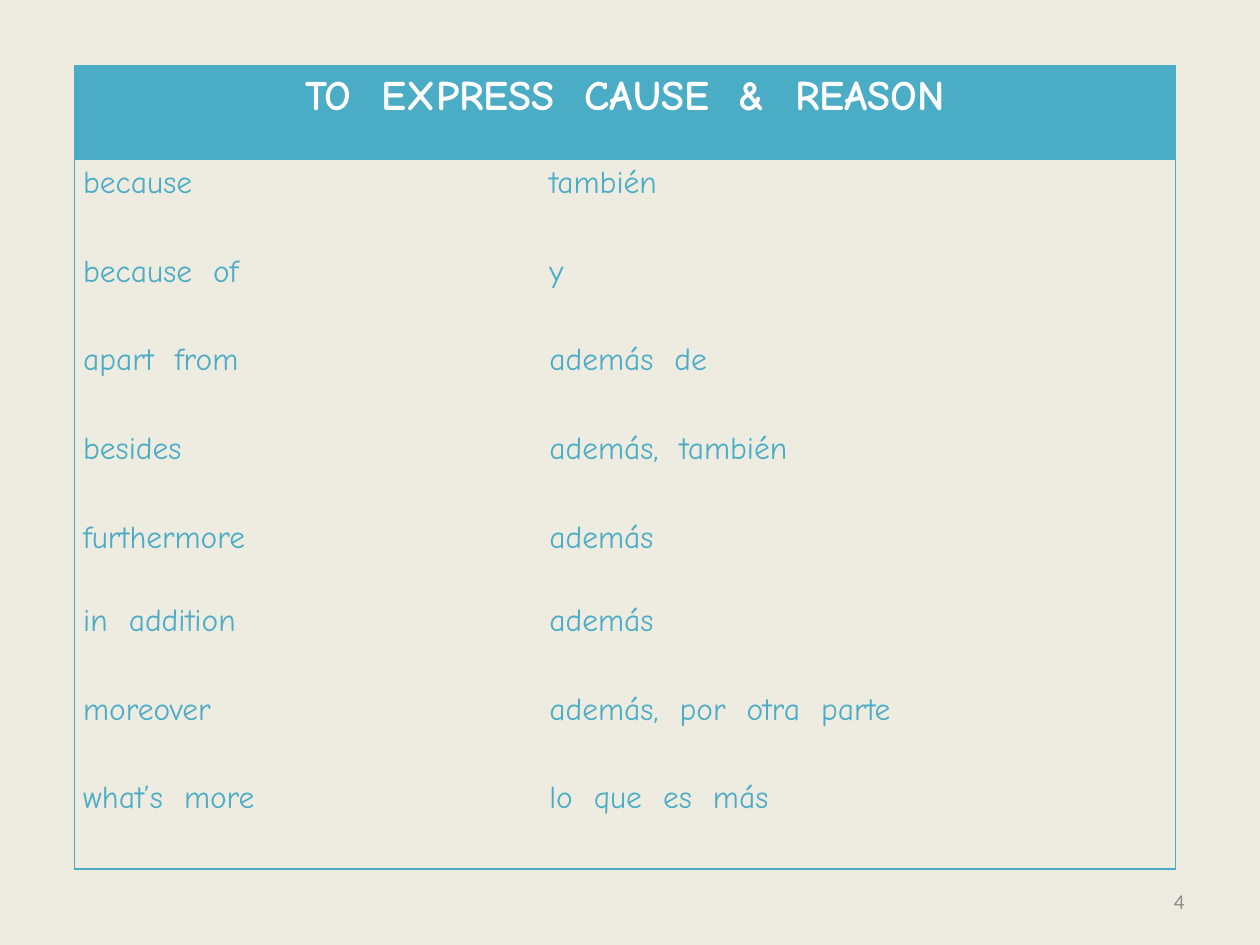
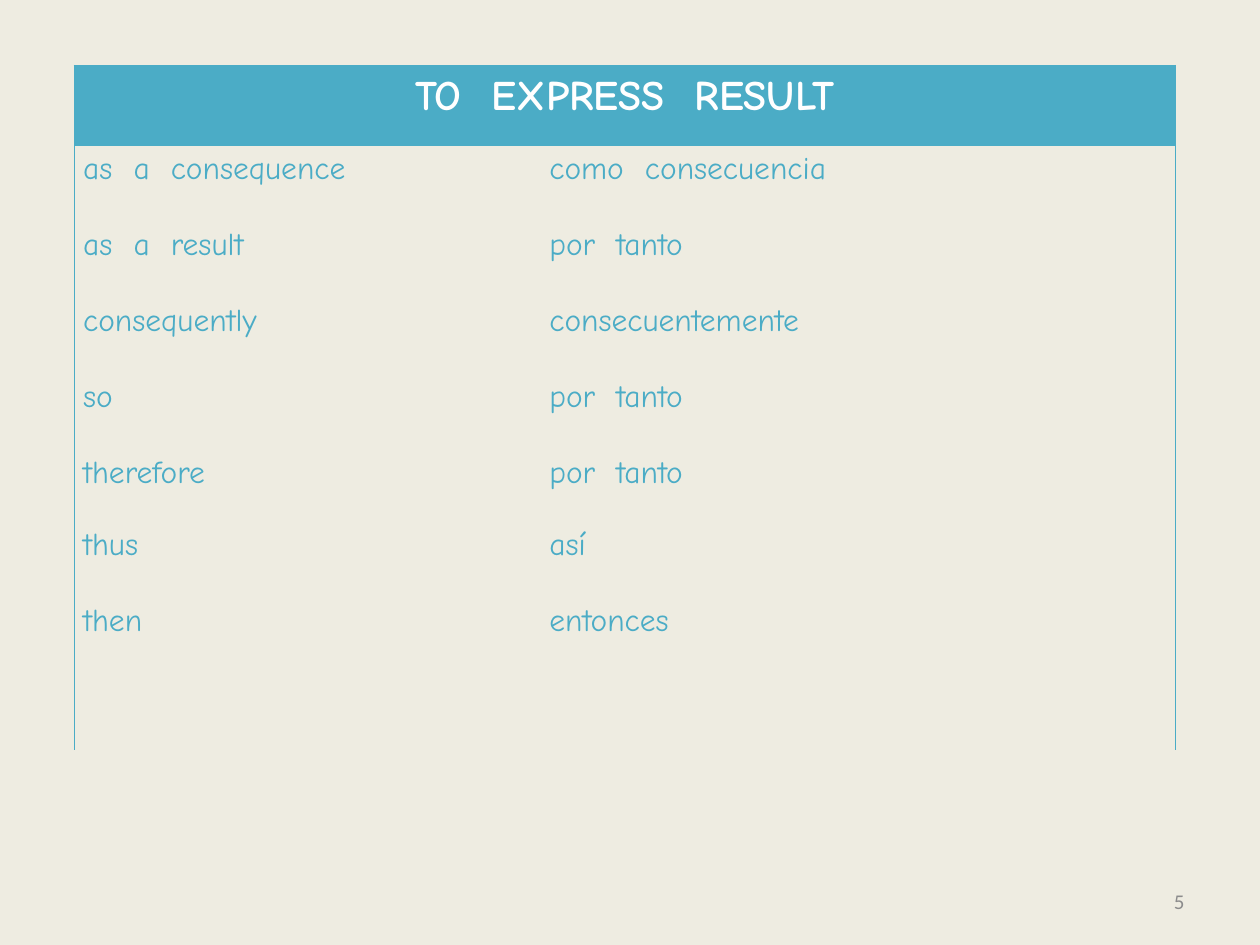
"""Build two vocabulary slides of English linkers with their Spanish meanings."""
from dataclasses import dataclass

from lxml import etree
from pptx import Presentation
from pptx import util as u
from pptx.dml.color import RGBColor
from pptx.enum import text
from pptx.oxml.ns import qn


@dataclass(frozen=True)
class Theme:
    paper: str = "EEECE1"
    accent: str = "4BACC6"
    heading: str = "FFFFFF"
    muted: str = "8C8C8C"
    hand_font: str = "Comic Neue"
    number_font: str = "Calibri"
    heading_size: int = 24
    body_size: int = 18
    number_size: int = 12
    rule: float = 1
    line_spacing: float = 1.15
    no_grid: str = "{2D5ABB26-0587-4C30-8999-92F81FD0307C}"


class Deck:
    columns, rows = 100, 75

    def __init__(self, theme):
        self.theme = theme
        self.prs = Presentation()
        self.prs.slide_width, self.prs.slide_height = u.Inches(10), u.Inches(7.5)
        self.slide = None

    def x(self, columns):
        return round(self.prs.slide_width * columns / self.columns)

    def y(self, rows):
        return round(self.prs.slide_height * rows / self.rows)

    def box(self, left, top, width, height):
        return self.x(left), self.y(top), self.x(width), self.y(height)

    def new_slide(self):
        self.slide = self.prs.slides.add_slide(self.prs.slide_layouts[6])
        paper = self.slide.background.fill
        paper.solid()
        paper.fore_color.rgb = RGBColor.from_string(self.theme.paper)

    def put_line(self, frame, words, size, color, font, align, bold=False):
        line = frame.paragraphs[0]
        line.text = words
        line.alignment = align
        for run in line.runs:
            run.font.size, run.font.name, run.font.bold = u.Pt(size), font, bold
            run.font.color.rgb = RGBColor.from_string(color)
        return line

    def border(self, cell, sides):
        props = cell._tc.get_or_add_tcPr()
        for place, side in enumerate(s for s in "LRTB" if s in sides):
            edge = etree.Element(qn(f"a:ln{side}"), w=str(u.Pt(self.theme.rule)))
            fill = etree.SubElement(edge, qn("a:solidFill"))
            etree.SubElement(fill, qn("a:srgbClr"), val=self.theme.accent)
            props.insert(place, edge)

    def fill_cell(self, cell, words, sides, heading=False):
        t = self.theme
        cell.margin_left = cell.margin_right = u.Inches(0.07)
        cell.margin_top = cell.margin_bottom = 0
        if heading:
            cell.fill.solid()
            cell.fill.fore_color.rgb = RGBColor.from_string(t.accent)
            look = t.heading_size, t.heading, t.hand_font, text.PP_ALIGN.CENTER, True
        else:
            cell.fill.background()
            look = t.body_size, t.accent, t.hand_font, text.PP_ALIGN.LEFT
        self.put_line(cell.text_frame, words, *look).line_spacing = t.line_spacing
        self.border(cell, sides)

    def glossary(self, heading, pairs, height, row_shares, closed):
        area = self.box(5.9, 5.2, 87.4, height)
        table = self.slide.shapes.add_table(len(row_shares), 2, *area).table
        table.first_row = table.horz_banding = False
        table._tbl.tblPr.find(qn("a:tableStyleId")).text = self.theme.no_grid
        for column, width in zip(table.columns, (37, 50.4)):
            column.width = self.x(width)
        for row, share in zip(table.rows, row_shares):
            row.height = self.y(height * share / sum(row_shares))

        table.cell(0, 0).merge(table.cell(0, 1))
        self.fill_cell(table.cell(0, 0), heading, "LRT", heading=True)
        self.border(table.cell(0, 1), "RT")
        last = len(row_shares) - 1
        for number in range(1, last + 1):
            pair = pairs[number - 1] if number <= len(pairs) else ("", "")
            base = "B" if closed and number == last else ""
            for column, (words, side) in enumerate(zip(pair, "LR")):
                self.fill_cell(table.cell(number, column), words, side + base)

    def page_number(self, number):
        t = self.theme
        frame = self.slide.shapes.add_textbox(*self.box(71.7, 69.5, 23.3, 4)).text_frame
        frame.word_wrap = True
        frame.vertical_anchor = text.MSO_ANCHOR.MIDDLE
        self.put_line(frame, str(number), t.number_size, t.muted, t.number_font,
                      text.PP_ALIGN.RIGHT)


CAUSE = [
    ("because", "también"),
    ("because  of", "y"),
    ("apart  from", "además  de"),
    ("besides", "además,  también"),
    ("furthermore", "además"),
    ("in  addition", "además"),
    ("moreover", "además,  por  otra  parte"),
    ("what’s  more", "lo  que  es  más"),
]
RESULT = [
    ("as  a  consequence", "como  consecuencia"),
    ("as  a  result", "por  tanto"),
    ("consequently", "consecuentemente"),
    ("so", "por  tanto"),
    ("therefore", "por  tanto"),
    ("thus", "así"),
    ("then", "entonces"),
]
TALL, SHORT = 1.06, 0.94
UPPER_ROWS = [TALL, 1, 1, 1, 1, SHORT, 1, 1]


def main():
    deck = Deck(Theme())
    topics = [
        ("TO  EXPRESS  CAUSE  &  REASON", CAUSE, 63.8, UPPER_ROWS + [TALL], True),
        ("TO  EXPRESS  RESULT", RESULT, 54.3, UPPER_ROWS + [1], False),
    ]
    for number, topic in enumerate(topics, start=4):
        deck.new_slide()
        deck.glossary(*topic)
        deck.page_number(number)
    deck.prs.save("out.pptx")


if __name__ == "__main__":
    main()
